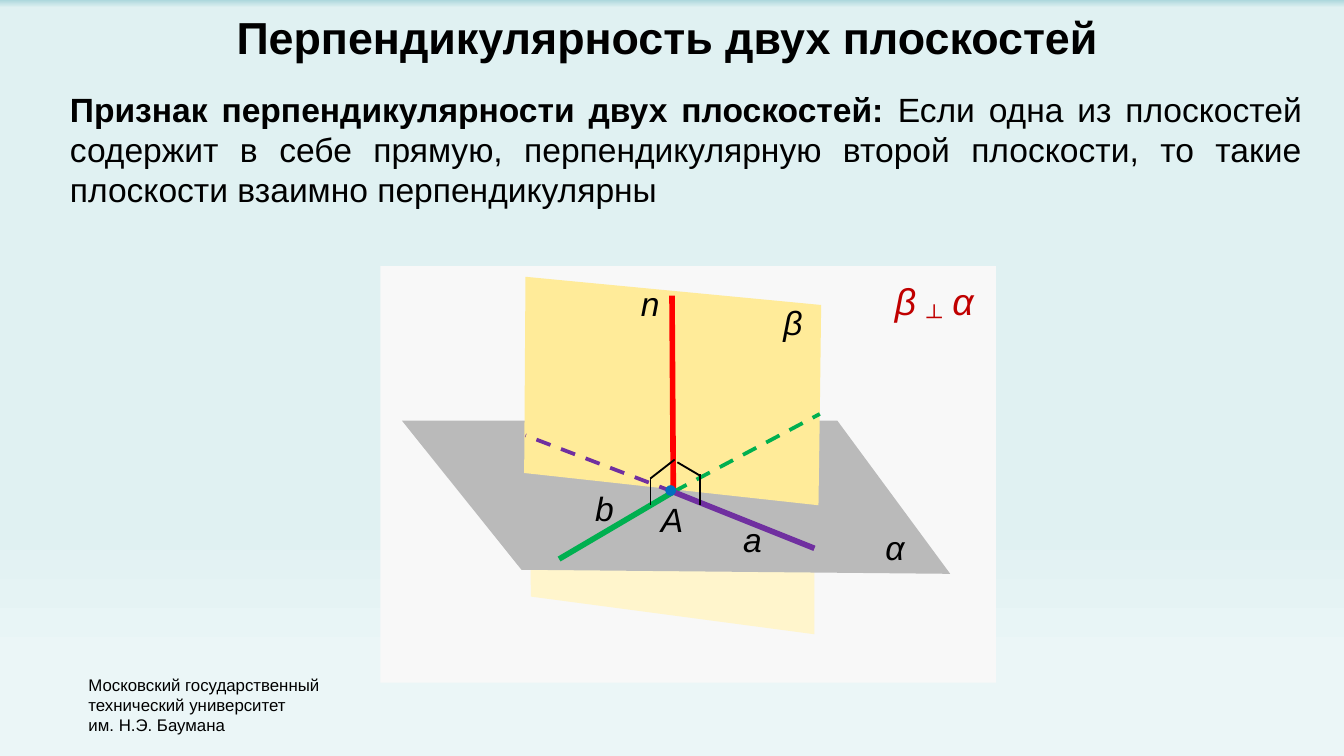
from lxml import etree
from pptx import Presentation
from pptx.dml.color import RGBColor
from pptx.enum.dml import MSO_LINE_DASH_STYLE as Dash
from pptx.enum.shapes import MSO_CONNECTOR as Connector, MSO_SHAPE as Preset
from pptx.enum.text import MSO_ANCHOR as Anchor, MSO_AUTO_SIZE as AutoSize, PP_ALIGN as Align
from pptx.oxml import parse_xml
from pptx.oxml.ns import nsdecls, qn
from pptx.util import Inches, Pt

BLACK = RGBColor(0x00, 0x00, 0x00)
PANEL = RGBColor(0xF8, 0xF8, 0xF8)
PALE_YELLOW = RGBColor(0xFF, 0xF5, 0xCC)
YELLOW = RGBColor(0xFF, 0xEB, 0x99)
GRAY = RGBColor(0xBA, 0xBA, 0xBA)
RED = RGBColor(0xFF, 0x00, 0x00)
DARK_RED = RGBColor(0xC0, 0x00, 0x00)
GREEN = RGBColor(0x00, 0xB0, 0x50)
PURPLE = RGBColor(0x70, 0x30, 0xA0)
BLUE = RGBColor(0x00, 0x70, 0xC0)
SKY = [(0, RGBColor(0xAC, 0xD7, 0xDC)), (1, RGBColor(0xE0, 0xF1, 0xF2)),
       (69, RGBColor(0xE0, 0xF1, 0xF2)), (88, RGBColor(0xEB, 0xF6, 0xF7)),
       (100, RGBColor(0xEB, 0xF6, 0xF7))]

prs = Presentation()
prs.slide_width = Inches(10)
prs.slide_height = Inches(10) * 9 // 16
slide = prs.slides.add_slide(prs.slide_layouts[1])
shapes = slide.shapes

stops = "".join(f'<a:gs pos="{pos * 1000}"><a:srgbClr val="{color}"/></a:gs>' for pos, color in SKY)
slide.element.cSld.insert(0, parse_xml(
    f'<p:bg {nsdecls("p", "a")}><p:bgPr><a:gradFill><a:gsLst>{stops}</a:gsLst>'
    '<a:lin ang="5400000" scaled="0"/></a:gradFill><a:effectLst/></p:bgPr></p:bg>'))


def write(holder, box, paragraphs, size, color=BLACK, align=Align.LEFT, wrap=False, italic=False):
    holder.left, holder.top, holder.width, holder.height = [Inches(v) for v in box]
    frame = holder.text_frame
    frame.word_wrap = wrap
    frame.auto_size = AutoSize.SHAPE_TO_FIT_TEXT
    frame.vertical_anchor = Anchor.TOP
    for index, runs in enumerate(paragraphs):
        paragraph = frame.paragraphs[0] if index == 0 else frame.add_paragraph()
        paragraph.alignment = align
        paragraph.space_before = Pt(0)
        for text, bold, baseline in runs:
            run = paragraph.add_run()
            run.text = text
            font = run.font
            font.name, font.size, font.bold, font.italic = "Arial", Pt(size), bold, italic
            font.color.rgb = color
            if baseline:
                font._element.set("baseline", str(baseline * 1000))
    return frame


def paint(shape, color):
    shape.fill.solid()
    shape.fill.fore_color.rgb = color
    shape.line.fill.background()
    shape.shadow.inherit = False


university = ["Московский государственный", "технический университет", "им. Н.Э. Баумана"]
write(shapes.add_textbox(0, 0, 0, 0), (0.56, 4.97, 1.98, 0.55),
      [[(line, False, 0)] for line in university], 9)

write(shapes.title, (1.66, 0.02, 6.67, 0.51),
      [[("Перпендикулярность двух плоскостей", True, 0)]], 24)
criterion = write(slide.placeholders[1], (0.42, 0.61, 9.37, 1.01), [[
    ("Признак перпендикулярности двух плоскостей: ", True, 0),
    ("Если одна из плоскостей содержит в себе прямую, перпендикулярную второй плоскости, "
     "то такие плоскости взаимно перпендикулярны", False, 0)]],
    18, align=Align.JUSTIFY, wrap=True)
criterion_format = criterion.paragraphs[0]._p.get_or_add_pPr()
criterion_format.set("marL", "0")
criterion_format.set("indent", "0")
etree.SubElement(criterion_format, qn("a:buNone"))

panel = shapes.add_shape(Preset.RECTANGLE, Inches(2.83), Inches(1.98), Inches(4.58), Inches(3.1))
paint(panel, PANEL)

planes = [
    (PALE_YELLOW, [(3.94, 3.56), (6.06, 3.81), (6.06, 4.72), (3.95, 4.44)]),
    (GRAY, [(2.99, 3.13), (6.23, 3.13), (7.07, 4.27), (3.88, 4.24)]),
    (YELLOW, [(3.91, 2.06), (6.11, 2.27), (6.1, 3.08), (6.09, 3.76), (3.9, 3.52)]),
]
for color, corners in planes:
    points = [(Inches(x), Inches(y)) for x, y in corners]
    outline = shapes.build_freeform(*points[0])
    outline.add_line_segments(points[1:], close=True)
    paint(outline.convert_to_shape(), color)

A = (5.01, 3.66)
rays = [
    (A, (5, 2.2), RED, 3, None),
    ((4.16, 4.16), A, GREEN, 3, None),
    (A, (6.1, 3.08), GREEN, 2, Dash.DASH),
    (A, (3.91, 3.24), PURPLE, 2, Dash.DASH),
    (A, (6.06, 4.08), PURPLE, 3, None),
]
right_angles = [
    ((5.04, 3.44), (5.21, 3.54), BLACK, 1, None),
    ((5.21, 3.53), (5.21, 3.76), BLACK, 1, None),
    ((5.02, 3.42), (4.84, 3.56), BLACK, 1, None),
    ((4.84, 3.56), (4.84, 3.76), BLACK, 1, None),
]
for start, end, color, weight, dash in rays + right_angles:
    segment = shapes.add_connector(Connector.STRAIGHT, *[Inches(v) for v in start + end])
    segment.line.color.rgb = color
    segment.line.width = Pt(weight)
    if dash:
        segment.line.dash_style = dash
    etree.SubElement(segment._element.spPr, qn("a:effectLst"))

vertex = shapes.add_shape(Preset.OVAL, Inches(4.95), Inches(3.61), Inches(0.08), Inches(0.08))
paint(vertex, BLUE)

labels = [("n", 4.67, 2.06, 0.34), ("β", 5.73, 2.2, 0.35), ("A", 4.82, 3.66, 0.37),
          ("α", 6.49, 3.87, 0.36), ("а", 5.43, 3.81, 0.35), ("b", 4.33, 3.58, 0.33)]
for letter, left, top, width in labels:
    write(shapes.add_textbox(0, 0, 0, 0), (left, top, width, 0.4),
          [[(letter, False, 0)]], 18, italic=True)

write(shapes.add_textbox(0, 0, 0, 0), (6.56, 2.02, 0.95, 0.44),
      [[("β ", False, 0), ("┴", False, -25), (" α", False, 0)]], 20, color=DARK_RED, italic=True)

prs.save("out.pptx")
